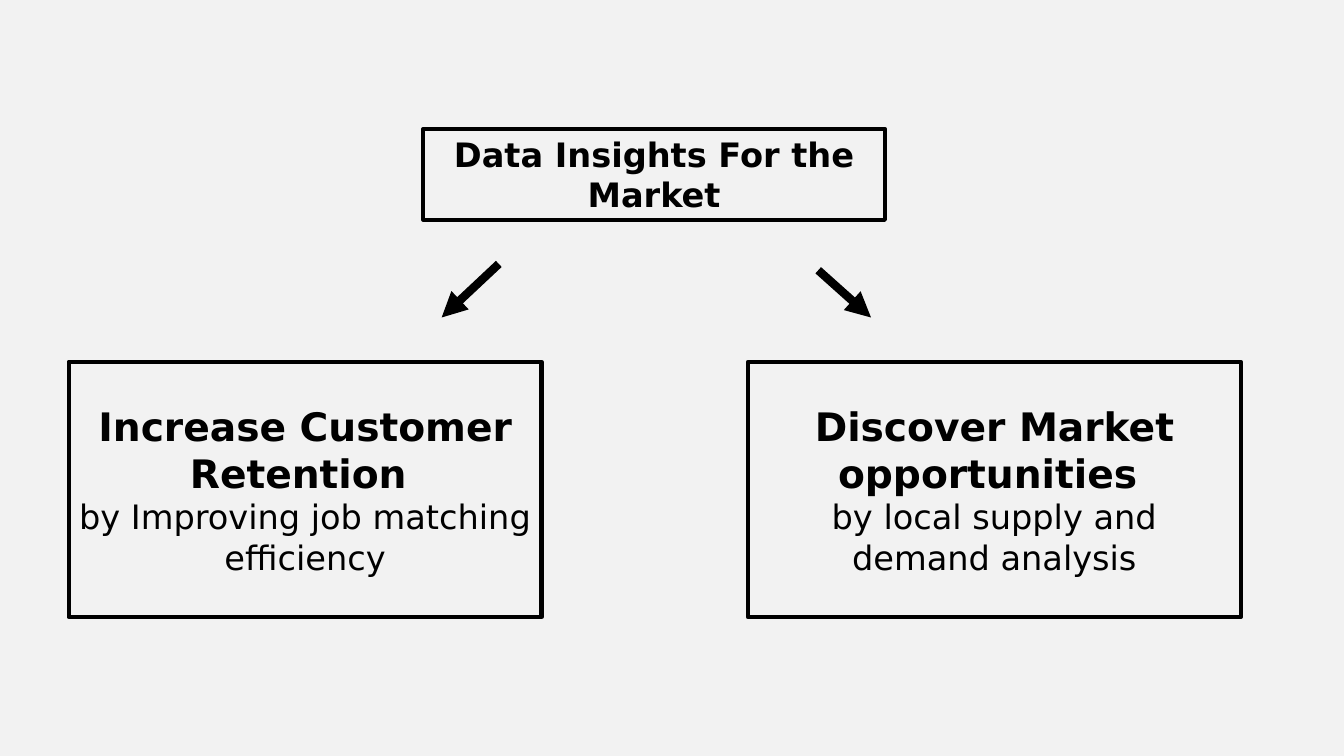
import pptx
import pptx.util
import pptx.dml.color
import pptx.enum.shapes
import pptx.enum.text
import pptx.oxml.ns
import lxml.etree

Cm = pptx.util.Cm
Pt = pptx.util.Pt


def color(hex_value):
    return pptx.dml.color.RGBColor.from_string(hex_value)


class InsightSlide:
    font = "DejaVu Sans"
    ink = "000000"
    paper = "F2F2F2"

    def __init__(self, slide):
        self.slide = slide
        self.paint(slide.background.fill)

    def paint(self, fill):
        fill.solid()
        fill.fore_color.rgb = color(self.paper)

    def stroke(self, line, width):
        line.color.rgb = color(self.ink)
        line.width = Pt(width)

    def box(self, left, top, width, height, paragraphs):
        panel = self.slide.shapes.add_shape(
            pptx.enum.shapes.MSO_SHAPE.RECTANGLE, Cm(left), Cm(top), Cm(width), Cm(height))
        panel.shadow.inherit = False
        self.paint(panel.fill)
        self.stroke(panel.line, 3)
        frame = panel.text_frame
        frame.word_wrap = True
        frame.vertical_anchor = pptx.enum.text.MSO_ANCHOR.MIDDLE
        for index, (wording, size, bold) in enumerate(paragraphs):
            paragraph = frame.add_paragraph() if index else frame.paragraphs[0]
            paragraph.alignment = pptx.enum.text.PP_ALIGN.CENTER
            run = paragraph.add_run()
            run.text = wording
            run.font.color.rgb = color(self.ink)
            for key, value in {"name": self.font, "size": Pt(size), "bold": bold}.items():
                setattr(run.font, key, value)

    def arrow(self, start, end):
        pointer = self.slide.shapes.add_connector(
            pptx.enum.shapes.MSO_CONNECTOR.STRAIGHT, *map(Cm, start + end))
        self.stroke(pointer.line, 6)
        qn = pptx.oxml.ns.qn
        lxml.etree.SubElement(pointer.line._get_or_add_ln(), qn("a:tailEnd"), type="triangle")
        lxml.etree.SubElement(pointer._element.spPr, qn("a:effectLst"))


def main():
    deck = pptx.Presentation()
    for key, value in {"slide_width": Cm(33.87), "slide_height": Cm(19.05)}.items():
        setattr(deck, key, value)
    insights = InsightSlide(deck.slides.add_slide(deck.slide_layouts[6]))

    insights.box(10.67, 3.25, 11.63, 2.29, [("Data Insights For the Market", 24, True)])
    outcomes = [
        (1.73, 11.92, "Increase Customer Retention ", "by Improving job matching efficiency"),
        (18.85, 12.42, "Discover Market opportunities ", "by local supply and demand analysis"),
    ]
    for left, width, goal, means in outcomes:
        insights.box(left, 9.12, width, 6.43, [(goal, 28, True), (means, 24, False)])

    insights.arrow((20.62, 6.81), (21.95, 8))
    insights.arrow((12.57, 6.65), (11.13, 8))
    deck.save("out.pptx")


if __name__ == "__main__":
    main()
